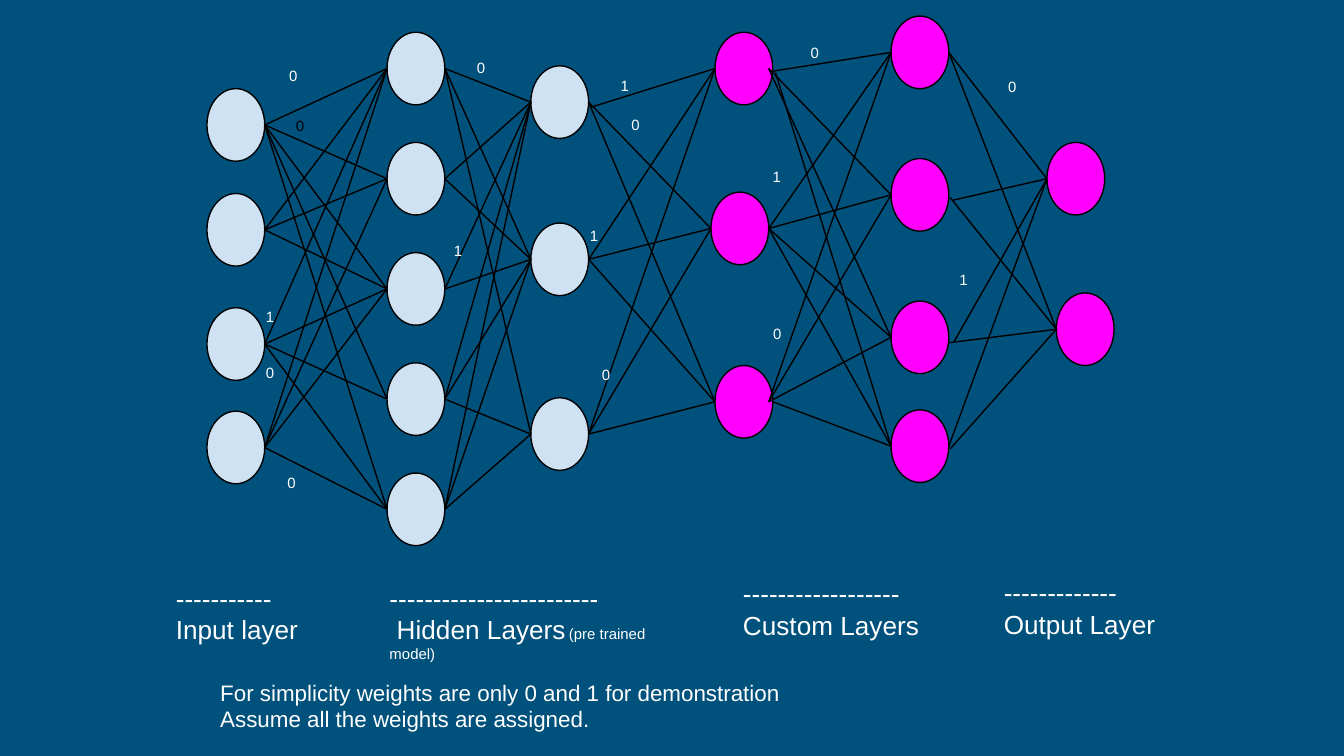
from itertools import product
from lxml.etree import SubElement
from pptx import Presentation
from pptx.dml.color import RGBColor
from pptx.enum.shapes import MSO_CONNECTOR, MSO_SHAPE
from pptx.enum.text import MSO_AUTO_SIZE
from pptx.oxml.ns import qn
from pptx.util import Inches, Pt

NAVY = RGBColor(0x00, 0x51, 0x7C)
PALE = RGBColor(0xCF, 0xE2, 0xF3)
PINK = RGBColor(0xFF, 0x00, 0xFF)
BLACK = RGBColor(0x00, 0x00, 0x00)
WHITE = RGBColor(0xFF, 0xFF, 0xFF)

NODE_W, NODE_H = 0.43, 0.54

LAYERS = [
    (PALE, [(0, 0.54), (0, 1.32), (0, 2.17), (0, 2.94)]),
    (PALE, [(1.34, 0.12 + 0.82 * row) for row in range(5)]),
    (PALE, [(2.41, 0.37), (2.41, 1.54), (2.41, 2.84)]),
    (PINK, [(3.78, 0.12), (3.75, 1.31), (3.78, 2.6)]),
    (PINK, [(5.09, 0), (5.09, 1.06), (5.09, 2.12), (5.09, 2.93)]),
    (PINK, [(6.25, 0.94), (6.32, 2.06)]),
]

MISSING = {
    (0, 1, 3), (0, 1, 4), (0, 2, 1), (0, 3, 3),
    (1, 1, 2), (1, 2, 2),
}

STARTS = {
    (2, 0, 0): (2.85, 0.68),
    (3, 0, 0): (4.21, 0.41),
    (3, 0, 1): (4.18, 0.39),
    (3, 0, 2): (4.18, 0.39),
    (3, 0, 3): (4.23, 0.42),
    (3, 2, 0): (4.18, 2.87),
    (3, 2, 1): (4.18, 2.87),
    (3, 2, 2): (4.18, 2.87),
    (4, 1, 0): (5.55, 1.37),
    (4, 1, 1): (5.53, 1.35),
    (4, 2, 0): (5.56, 2.42),
    (4, 2, 1): (5.52, 2.43),
    (4, 3, 1): (5.53, 3.22),
}

SLIM, WIDE = (0.15, 0.25), (0.26, 0.27)
WEIGHTS = [
    ("0", 0.56, 0.31, SLIM, WHITE),
    ("0", 0.61, 0.68, SLIM, BLACK),
    ("1", 0.34, 2.1, WIDE, WHITE),
    ("1", 1.74, 1.61, WIDE, WHITE),
    ("1", 2.98, 0.38, WIDE, WHITE),
    ("1", 2.75, 1.5, WIDE, WHITE),
    ("0", 0.34, 2.52, WIDE, WHITE),
    ("0", 0.5, 3.34, WIDE, WHITE),
    ("0", 3.06, 0.67, WIDE, WHITE),
    ("0", 2.84, 2.53, WIDE, WHITE),
    ("0", 1.91, 0.25, WIDE, WHITE),
    ("0", 5.91, 0.39, SLIM, WHITE),
    ("0", 4.44, 0.14, SLIM, WHITE),
    ("0", 4.16, 2.23, SLIM, WHITE),
    ("1", 4.11, 1.06, WIDE, WHITE),
    ("1", 5.5, 1.83, WIDE, WHITE),
]

LABELS = [
    (0, 0.04, 1.32, 0.68, 11, [("Input layer", 14)]),
    (1.59, 0.04, 2.2, 0.68, 24,
     [(" Hidden Layers", 14), (" ", 6), ("(pre trained ", 8), (" ", 6), ("model)", 8)]),
    (4.22, 0.01, 1.67, 0.6, 18, [("Custom Layers", 14)]),
    (6.16, 0, 1.38, 0.5, 13, [("Output Layer", 14)]),
]


def add_node(slide, left, top, color):
    """Draw one neuron."""
    node = slide.shapes.add_shape(
        MSO_SHAPE.OVAL, Inches(left), Inches(top), Inches(NODE_W), Inches(NODE_H))
    node.shadow.inherit = False
    node.fill.solid()
    node.fill.fore_color.rgb = color
    node.line.color.rgb = BLACK
    node.line.width = Pt(0.75)


def add_link(slide, x1, y1, x2, y2):
    """Draw one black line between two points."""
    link = slide.shapes.add_connector(
        MSO_CONNECTOR.STRAIGHT, Inches(x1), Inches(y1), Inches(x2), Inches(y2))
    link.line.color.rgb = BLACK
    link.line.width = Pt(0.75)
    SubElement(link._element.spPr, qn("a:effectLst"))


def add_text(slide, left, top, width, height, lines, color=WHITE):
    """Add a text box whose lines are lists of (text, size) runs."""
    box = slide.shapes.add_textbox(
        Inches(left), Inches(top), Inches(width), Inches(height))
    frame = box.text_frame
    frame.word_wrap = True
    frame.margin_left = frame.margin_right = Inches(0.1)
    frame.margin_top = frame.margin_bottom = Inches(0.1)
    for index, runs in enumerate(lines):
        para = frame.paragraphs[0] if index == 0 else frame.add_paragraph()
        para.font.name = "Arial"
        para.font.size = Pt(runs[0][1])
        para.font.color.rgb = color
        for text, size in runs:
            run = para.add_run()
            run.text = text
            run.font.name = "Arial"
            run.font.size = Pt(size)
            run.font.color.rgb = color
    return frame


def add_net(slide, left, top):
    """Draw the neurons and the links between neighbouring layers."""
    for color, nodes in LAYERS:
        for x, y in nodes:
            add_node(slide, left + x, top + y, color)
    for depth, ((_, froms), (_, tos)) in enumerate(zip(LAYERS, LAYERS[1:])):
        for (i, (x1, y1)), (j, (x2, y2)) in product(enumerate(froms), enumerate(tos)):
            key = (depth, i, j)
            if key in MISSING:
                continue
            x, y = STARTS.get(key, (x1 + NODE_W, y1 + NODE_H / 2))
            add_link(slide, left + x, top + y, left + x2, top + y2 + NODE_H / 2)


def add_weights(slide, left, top):
    """Write the sample weights beside the links."""
    for text, x, y, (width, height), color in WEIGHTS:
        frame = add_text(slide, left + x, top + y, width, height, [[(text, 8)]], color)
        frame.auto_size = MSO_AUTO_SIZE.SHAPE_TO_FIT_TEXT


def add_labels(slide, left, top):
    """Write the dashed layer names."""
    for x, y, width, height, dashes, name in LABELS:
        add_text(slide, left + x, top + y, width, height, [[("-" * dashes, 14)], name])


def add_note(slide, left, top):
    """Write the closing remark on the weights."""
    lines = ["For simplicity weights are only 0 and 1 for demonstration",
             "Assume all the weights are assigned."]
    add_text(slide, left, top, 5.71, 0.56, [[(line, 12)] for line in lines])


def main():
    """Build and save the slide."""
    deck = Presentation()
    deck.slide_width = Inches(10)
    deck.slide_height = deck.slide_width * 9 // 16
    slide = deck.slides.add_slide(deck.slide_layouts[6])
    slide.background.fill.solid()
    slide.background.fill.fore_color.rgb = NAVY
    add_net(slide, 1.54, 0.12)
    add_weights(slide, 1.54, 0.12)
    add_labels(slide, 1.21, 4.19)
    add_note(slide, 1.54, 4.95)
    deck.save("out.pptx")


if __name__ == "__main__":
    main()
